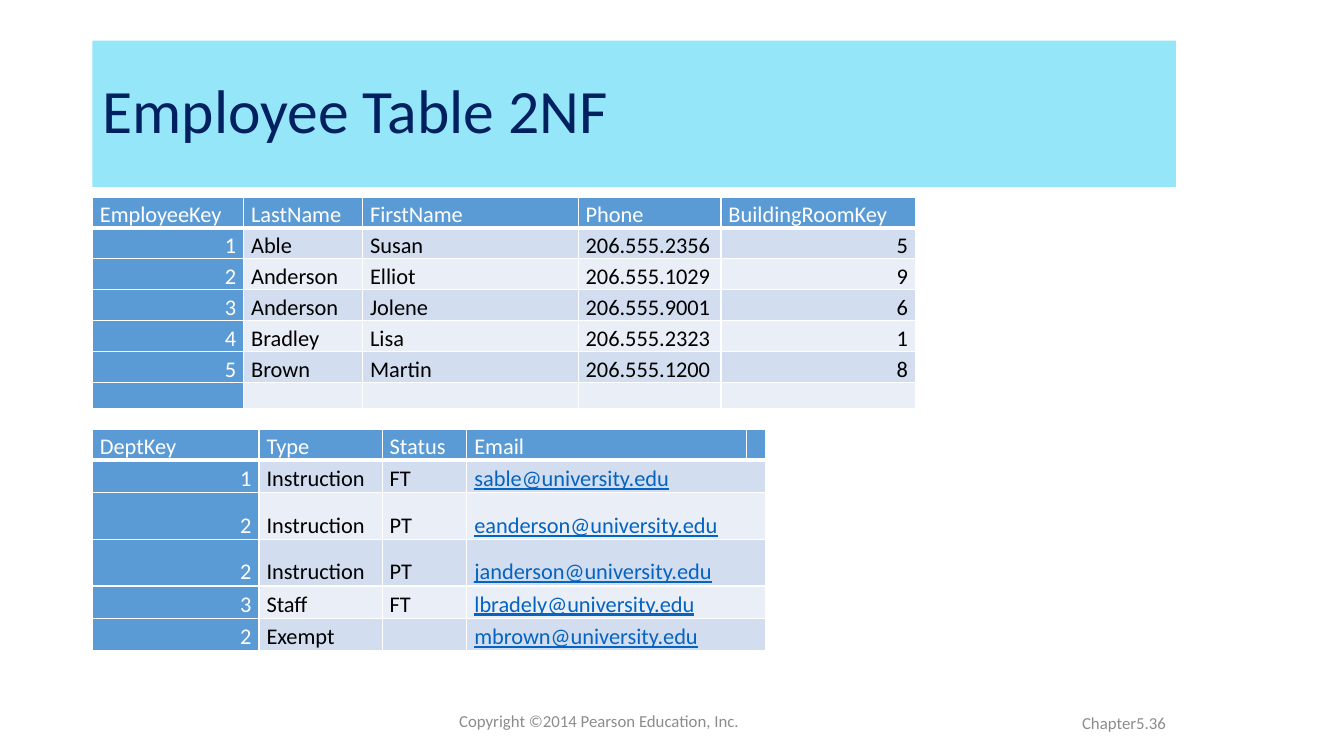
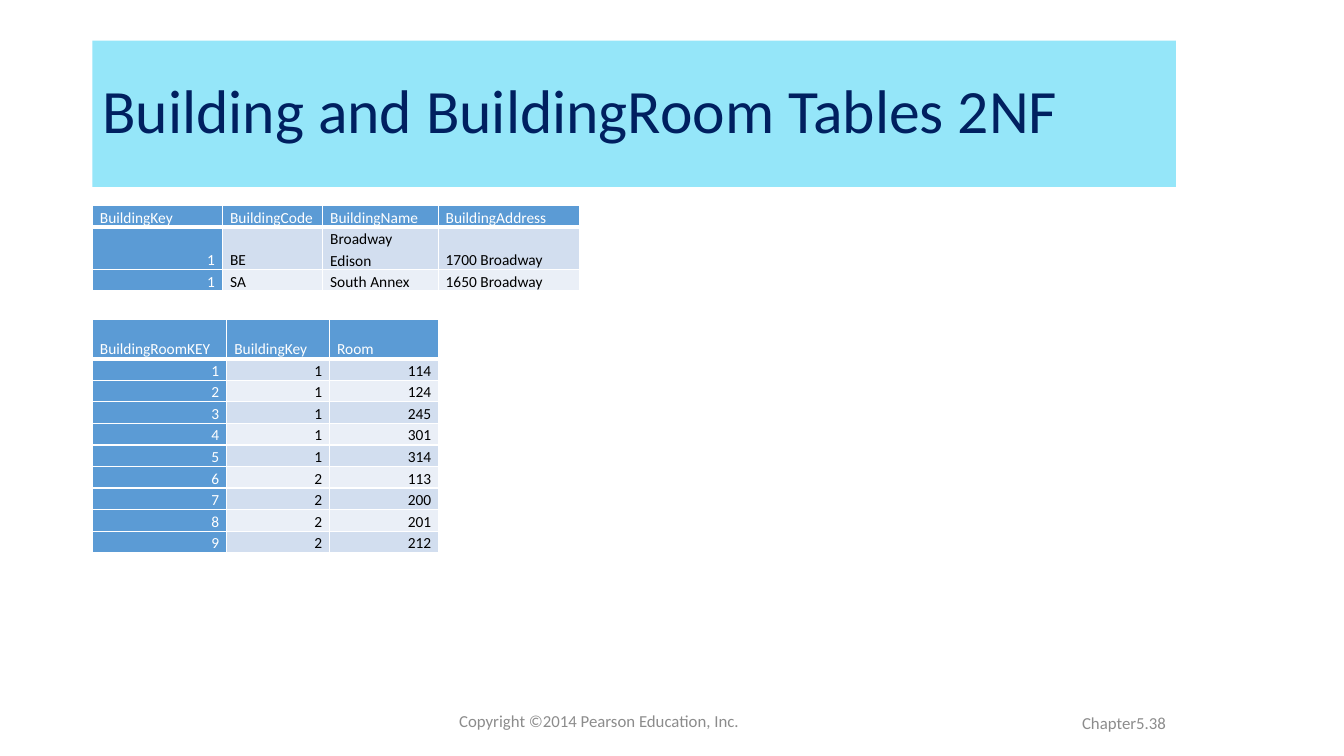
from pptx import Presentation
from pptx.dml.color import RGBColor
from pptx.enum.text import MSO_ANCHOR, MSO_AUTO_SIZE, PP_ALIGN
from pptx.oxml.ns import qn
from pptx.util import Pt
from lxml.etree import SubElement


def shade(code):
    return RGBColor.from_string(code)


def write(frame, text, size, color, font="Calibri", align=PP_ALIGN.LEFT, space=None, under=False):
    para = frame.paragraphs[0]
    para.alignment = align
    para.line_spacing = space
    if not text:
        SubElement(para._p, qn("a:endParaRPr"), sz=str(size * 100))
        return
    run = para.add_run()
    run.text = text
    run.font.name = font
    run.font.size = Pt(size)
    run.font.bold = False
    run.font.underline = under
    run.font.color.rgb = shade(color)


class Deck:
    left = 66
    band = "95E6F9"
    navy = "002060"
    blue = "5B9BD5"
    rows = ("EAEFF7", "D2DEEF")
    white = "FFFFFF"
    black = "000000"
    link = "0563C1"
    gray = "8C8C8C"

    def __init__(self):
        self.file = Presentation()
        self.file.slide_width = Pt(960)
        self.file.slide_height = Pt(540)
        self.slide = None

    def start(self, title, page):
        self.slide = self.file.slides.add_slide(self.file.slide_layouts[5])
        self.title(title)
        self.label("Copyright ©2014 Pearson Education, Inc.", 250, 500.5, 356, PP_ALIGN.CENTER)
        self.label(f"Chapter{page}", 659.5, 502, 180.5, PP_ALIGN.RIGHT)

    def title(self, text):
        box = self.slide.shapes.title
        box.left, box.top, box.width, box.height = Pt(self.left), Pt(29), Pt(774), Pt(104.5)
        box.fill.solid()
        box.fill.fore_color.rgb = shade(self.band)
        frame = box.text_frame
        frame.word_wrap = True
        frame.auto_size = MSO_AUTO_SIZE.NONE
        frame.vertical_anchor = MSO_ANCHOR.MIDDLE
        write(frame, text, 44, self.navy, space=0.9)

    def label(self, text, left, top, width, align):
        box = self.slide.shapes.add_textbox(Pt(left), Pt(top), Pt(width), Pt(28.8))
        frame = box.text_frame
        frame.word_wrap = True
        frame.vertical_anchor = MSO_ANCHOR.MIDDLE
        write(frame, text, 12, self.gray, align=align)

    def table(self, top, cols, highs, data, size):
        grid = self.slide.shapes.add_table(
            len(data), len(cols), Pt(self.left), Pt(top), Pt(sum(cols)), Pt(sum(highs))).table
        grid.first_col = True
        for col, width in zip(grid.columns, cols):
            col.width = Pt(width)
        for r, (line, high) in enumerate(zip(data, highs)):
            grid.rows[r].height = Pt(high)
            for c in range(len(cols)):
                head = r == 0 or c == 0
                fill = self.blue if head else self.rows[r % 2]
                self.cell(grid.cell(r, c), fill, 3 if r == 0 else 1)
            for c, item in enumerate(line):
                self.fill_in(grid.cell(r, c), str(item), size, r == 0 or c == 0)
            if len(line) < len(cols):
                grid.cell(r, len(line) - 1).merge(grid.cell(r, len(cols) - 1))

    def cell(self, cell, fill, base):
        cell.margin_left = cell.margin_right = Pt(5.4)
        cell.margin_top = cell.margin_bottom = 0
        cell.vertical_anchor = MSO_ANCHOR.BOTTOM
        props = cell._tc.get_or_add_tcPr()
        for side, width in (("L", 1), ("R", 1), ("T", 1), ("B", base)):
            edge = SubElement(props, qn(f"a:ln{side}"), w=str(Pt(width)))
            SubElement(SubElement(edge, qn("a:solidFill")), qn("a:srgbClr"), val=self.white)
        cell.fill.solid()
        cell.fill.fore_color.rgb = shade(fill)

    def fill_in(self, cell, text, size, head):
        mail = "@" in text
        color = self.white if head else self.link if mail else self.black
        align = PP_ALIGN.RIGHT if text.isdigit() else PP_ALIGN.LEFT
        write(cell.text_frame, text, size if text else 11, color,
              align=align, space=1.15, under=mail)


STAFF = [
    ("EmployeeKey", "LastName", "FirstName", "Phone", "BuildingRoomKey"),
    (1, "Able", "Susan", "206.555.2356", 5),
    (2, "Anderson", "Elliot", "206.555.1029", 9),
    (3, "Anderson", "Jolene", "206.555.9001", 6),
    (4, "Bradley", "Lisa", "206.555.2323", 1),
    (5, "Brown", "Martin", "206.555.1200", 8),
    ("",) * 5,
]
DEPTS = [
    ("DeptKey", "Type", "Status", "Email", ""),
    (1, "Instruction", "FT", "sable@university.edu"),
    (2, "Instruction", "PT", "eanderson@university.edu"),
    (2, "Instruction", "PT", "janderson@university.edu"),
    (3, "Staff", "FT", "lbradely@university.edu"),
    (2, "Exempt", "", "mbrown@university.edu"),
]
SITES = [
    ("BuildingKey", "BuildingCode", "BuildingName", "BuildingAddress"),
    (1, "BE", "Broadway Edison", "1700 Broadway"),
    (1, "SA", "South Annex", "1650 Broadway"),
]
ROOMS = [
    ("BuildingRoomKEY", "BuildingKey", "Room"),
    (1, 1, 114),
    (2, 1, 124),
    (3, 1, 245),
    (4, 1, 301),
    (5, 1, 314),
    (6, 2, 113),
    (7, 2, 200),
    (8, 2, 201),
    (9, 2, 212),
]


def main():
    deck = Deck()
    deck.start("Employee Table 2NF", "5.36")
    deck.table(140.75, (108, 85, 154, 102, 139), [18.9] * 7, STAFF, 16)
    deck.table(306.75, (119, 88, 60.5, 199.5, 13), (20, 23, 33.4, 33.4, 23, 23), DEPTS, 16)
    deck.start("Building and BuildingRoom Tables 2NF", "5.38")
    deck.table(146.75, (93, 71.5, 82.5, 101), [15.4] * 3, SITES, 11)
    deck.table(228.25, (96, 73.5, 78), [28] + [15.4] * 9, ROOMS, 11)
    deck.file.save("out.pptx")


if __name__ == "__main__":
    main()
